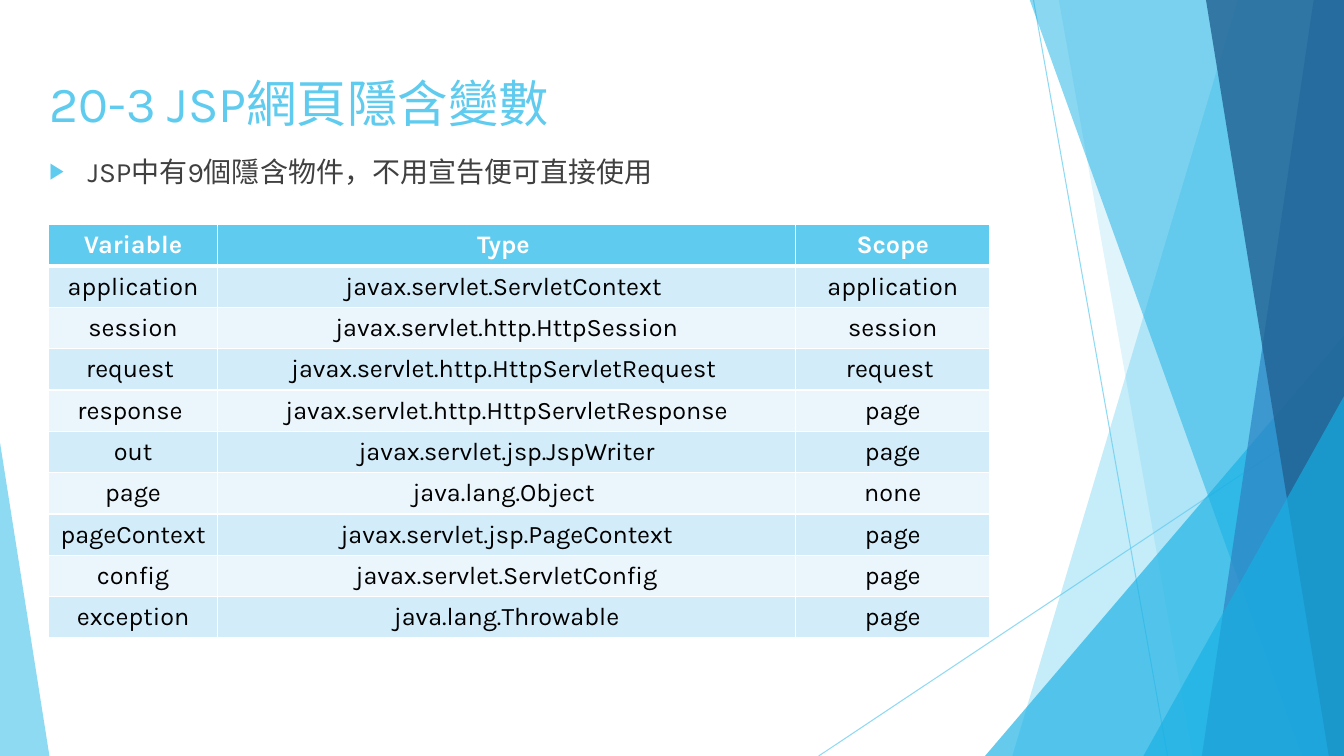
from lxml import etree
from pptx import Presentation
from pptx import util as u
from pptx.dml.color import RGBColor
from pptx.enum import shapes, text
from pptx.oxml import ns

SKY, AZURE, BLUE, NAVY = "5FCBEF", "17B0E4", "2E83C3", "226292"
WHITE, BLACK, GREY = "FFFFFF", "000000", "404040"
BANDS = ("EAF6FC", "D2ECF9")
WIDTH, HEIGHT, BLEED = 13.33, 7.5, -0.01

VARIABLES = [
    ("Variable", "Type ", "Scope"),
    ("application", "javax.servlet.ServletContext ", "application"),
    ("session", "javax.servlet.http.HttpSession", "session"),
    ("request ", "javax.servlet.http.HttpServletRequest ", "request "),
    ("response ", "javax.servlet.http.HttpServletResponse", "page"),
    ("out", "javax.servlet.jsp.JspWriter", "page"),
    ("page", "java.lang.Object ", "none"),
    ("pageContext", "javax.servlet.jsp.PageContext", "page"),
    ("config", "javax.servlet.ServletConfig", "page"),
    ("exception", "java.lang.Throwable", "page"),
]


def add_tag(parent, tag, **attributes):
    child = etree.SubElement(parent, ns.qn(tag))
    for key, value in attributes.items():
        child.set(key, str(value))
    return child


def paint(target, color, holder=None, alpha=100):
    target.rgb = RGBColor.from_string(color)
    if holder is not None:
        srgb = next(holder.iter(ns.qn("a:srgbClr")))
        add_tag(srgb, "a:alpha", val=alpha * 1000)


def write(frame, content, size, color, font="Karla", bold=False,
          align=text.PP_ALIGN.LEFT, bullet=None):
    frame.word_wrap = True
    paragraph = frame.paragraphs[0]
    if bullet:
        properties = paragraph._p.get_or_add_pPr()
        properties.set("marL", str(u.Inches(0.38)))
        properties.set("indent", str(u.Inches(-0.38)))
        add_tag(add_tag(properties, "a:buClr"), "a:srgbClr", val=SKY)
        add_tag(properties, "a:buSzPct", val=80000)
        add_tag(properties, "a:buChar", char=bullet)
    paragraph.alignment = align
    paragraph.space_before = u.Pt(0)
    run = paragraph.add_run()
    run.text = content
    run.font.size = u.Pt(size)
    run.font.name = font
    run.font.bold = bold
    paint(run.font.color, color)


class Facet:
    def __init__(self, slide):
        self.slide = slide
        self.canvas = slide.shapes

    def finish(self, shape, color, alpha):
        shape.shadow.inherit = False
        shape.fill.solid()
        paint(shape.fill.fore_color, color, shape._element.spPr, alpha)
        shape.line.fill.background()

    def ray(self, x1, y1, x2, y2):
        ray = self.canvas.add_connector(
            shapes.MSO_CONNECTOR.STRAIGHT, *map(u.Inches, (x1, y1, x2, y2)))
        ray.line.width = u.Pt(0.75)
        properties = ray._element.spPr
        paint(ray.line.color, SKY, properties, 70)
        add_tag(properties, "a:effectLst")

    def shard(self, top_x, bottom_x, color, alpha):
        corners = [(WIDTH, BLEED), (WIDTH, HEIGHT), (bottom_x, HEIGHT)]
        outline = self.canvas.build_freeform(u.Inches(top_x), u.Inches(BLEED))
        outline.add_line_segments(
            [(u.Inches(x), u.Inches(y)) for x, y in corners], close=True)
        self.finish(outline.convert_to_shape(), color, alpha)

    def wedge(self, left, top, width, apex, color, alpha):
        wedge = self.canvas.add_shape(
            shapes.MSO_SHAPE.ISOSCELES_TRIANGLE,
            *map(u.Inches, (left, top, width, HEIGHT - top)))
        wedge.adjustments[0] = apex
        self.finish(wedge, color, alpha)

    def placeholder(self, holder, box, content, **style):
        holder.left, holder.top, holder.width, holder.height = map(u.Inches, box)
        frame = holder.text_frame
        frame.auto_size = text.MSO_AUTO_SIZE.NONE
        frame.vertical_anchor = text.MSO_ANCHOR.TOP
        write(frame, content, **style)
        self.canvas._spTree.append(holder._element)

    def table(self, left, top, widths, row_height, rows):
        table = self.canvas.add_table(
            len(rows), len(widths), u.Inches(left), u.Inches(top),
            u.Inches(sum(widths)), u.Inches(row_height * len(rows))).table
        for column, width in zip(table.columns, widths):
            column.width = u.Inches(width)
        for r, row in enumerate(rows):
            table.rows[r].height = u.Inches(row_height)
            for c, content in enumerate(row):
                self.cell(table.cell(r, c), content, r)

    def cell(self, cell, content, row):
        header = row == 0
        thick = {0: "B", 1: "T"}.get(row)
        properties = cell._tc.get_or_add_tcPr()
        for side in "LRTB":
            border = add_tag(properties, f"a:ln{side}",
                             w=u.Pt(3 if side == thick else 1))
            add_tag(add_tag(border, "a:solidFill"), "a:srgbClr", val=WHITE)
        cell.fill.solid()
        paint(cell.fill.fore_color, SKY if header else BANDS[row % 2])
        cell.vertical_anchor = text.MSO_ANCHOR.MIDDLE
        write(cell.text_frame, content, size=18, bold=header,
              color=WHITE if header else BLACK, align=text.PP_ALIGN.CENTER)


def main():
    deck = Presentation()
    deck.slide_width, deck.slide_height = u.Inches(WIDTH), u.Inches(HEIGHT)
    page = Facet(deck.slides.add_slide(deck.slide_layouts[1]))
    title, body = page.slide.placeholders

    page.ray(10.25, 0, 11.58, HEIGHT)
    page.ray(WIDTH, 4.03, 8.12, HEIGHT)
    page.shard(12.28, 10.04, SKY, 36)
    page.shard(10.5, 11.83, SKY, 20)
    page.wedge(9.77, 3.33, 3.56, 1, AZURE, 66)
    page.shard(10.21, 12.91, AZURE, 50)
    page.shard(13.03, 11.92, BLUE, 70)
    page.shard(11.96, 13.18, NAVY, 80)
    page.wedge(11.34, 3.93, 1.99, 1, AZURE, 66)
    page.wedge(0, 4.39, 0.49, 0, SKY, 70)

    page.placeholder(title, (0.39, 0.67, 10.18, 1.44),
                     "20-3 JSP網頁隱含變數", size=36, color=SKY)
    page.placeholder(body, (0.39, 1.48, 11.39, 5.56),
                     "JSP中有9個隱含物件，不用宣告便可直接使用", size=20,
                     color=GREY, align=text.PP_ALIGN.JUSTIFY, bullet="▶")
    page.table(0.48, 2.23, (1.68, 5.73, 1.93), 0.41, VARIABLES)
    deck.save("out.pptx")


if __name__ == "__main__":
    main()
